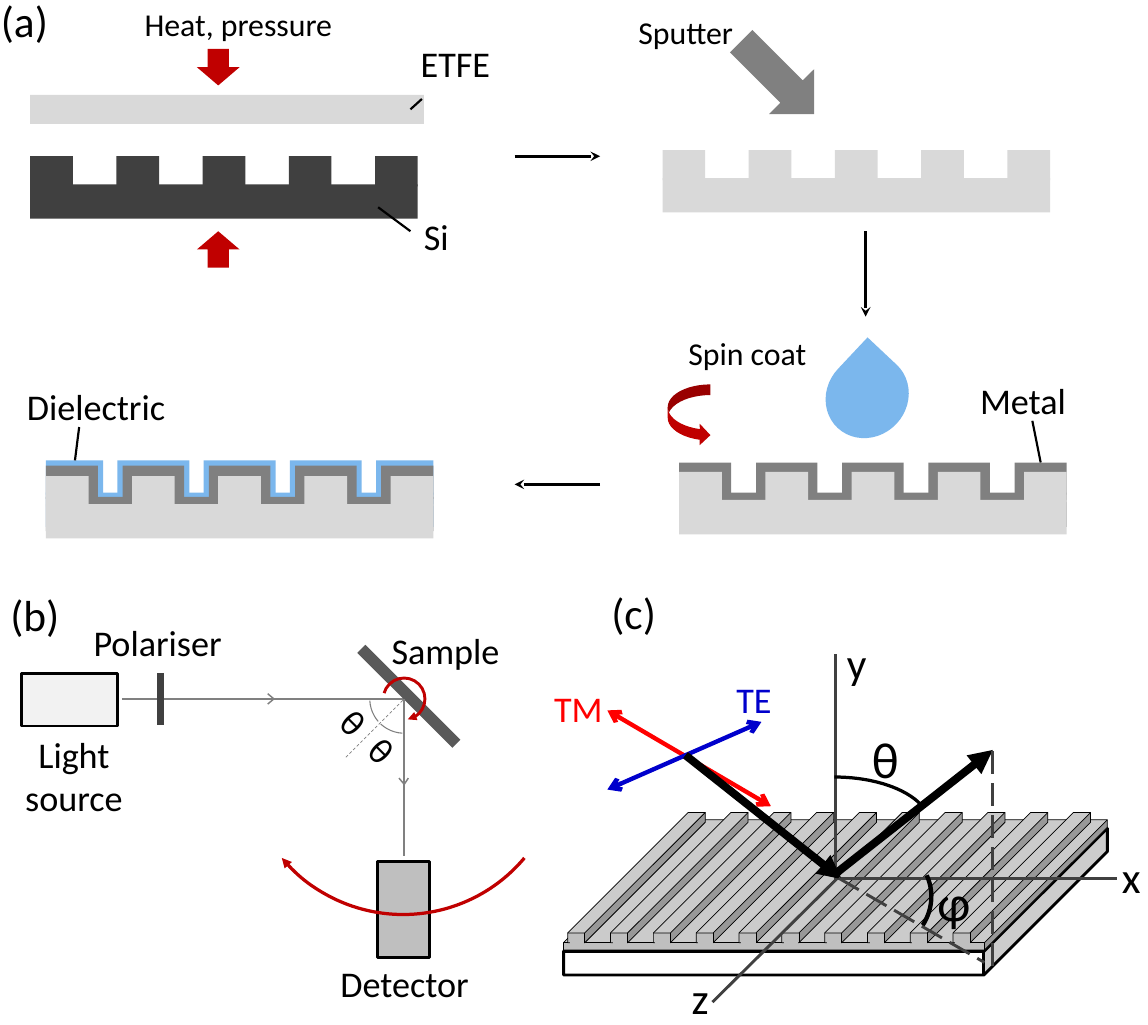
from lxml import etree
from pptx import Presentation
from pptx.dml.color import RGBColor
from pptx.enum import dml, shapes, text
from pptx.oxml import ns
from pptx.util import Inches, Pt

BLACK = RGBColor(0x00, 0x00, 0x00)
WHITE = RGBColor(0xFF, 0xFF, 0xFF)
SILICON = RGBColor(0x40, 0x40, 0x40)
POLYMER = RGBColor(0xD9, 0xD9, 0xD9)
METAL = RGBColor(0x80, 0x80, 0x80)
DIELECTRIC = RGBColor(0x7B, 0xB7, 0xED)
SAMPLE = RGBColor(0x59, 0x59, 0x59)
GRATING = RGBColor(0xBF, 0xBF, 0xBF)
SOURCE = RGBColor(0xF2, 0xF2, 0xF2)
DARK_RED = RGBColor(0xC0, 0x00, 0x00)
TM_RED = RGBColor(0xFF, 0x00, 0x00)
TE_BLUE = RGBColor(0x00, 0x00, 0xCC)

SHAPE = shapes.MSO_SHAPE
DASH = dml.MSO_LINE
TOOTH_COUNT, TOOTH_WIDTH, TOOTH_PITCH = 5, 0.41, 0.8275
COMB_WIDTH = TOOTH_PITCH * (TOOTH_COUNT - 1) + TOOTH_WIDTH
BASE_HEIGHT = 0.33


def stroke(item, color, width, dash=None, head=None, tail=None):
    """Format the line of a shape or connector; head and tail name arrowheads."""
    formats = {"width": Pt(width), "dash_style": dash}
    item.line.color.rgb = color
    for name, value in formats.items():
        setattr(item.line, name, value)
    outline = item._element.spPr.find(ns.qn("a:ln"))
    for tag, kind in (("a:headEnd", head), ("a:tailEnd", tail)):
        if kind:
            etree.SubElement(outline, ns.qn(tag), type=kind)


def add_block(slide, kind, box, fill, line=None, rotation=0, adjust=()):
    """Add a preset shape; line is a (colour, width) pair."""
    block = slide.shapes.add_shape(kind, *map(Inches, box))
    block.shadow.inherit = False
    block.rotation = rotation
    for index, value in enumerate(adjust):
        block.adjustments[index] = value
    if fill is None:
        block.fill.background()
    else:
        block.fill.solid()
        block.fill.fore_color.rgb = fill
    if line:
        stroke(block, *line)
    else:
        block.line.fill.background()
    return block


def add_line(slide, start, end, color, width, **ends):
    line = slide.shapes.add_connector(
        shapes.MSO_CONNECTOR.STRAIGHT, *map(Inches, (*start, *end)))
    stroke(line, color, width, **ends)
    etree.SubElement(line._element.spPr, ns.qn("a:effectLst"))


def add_arc(slide, box, start, end, color, width, rotation=0, tail=None):
    """Add an arc running clockwise between two angles in degrees."""
    arc = add_block(slide, SHAPE.ARC, box, None, rotation=rotation,
                    adjust=(start * 0.6, end * 0.6))
    stroke(arc, color, width, tail=tail)


def add_circle_arc(slide, center, radius, *args, **kwargs):
    x, y = center
    add_arc(slide, (x - radius, y - radius, 2 * radius, 2 * radius), *args, **kwargs)


def add_chevron(slide, points):
    """Add the open arrow mark on a light beam."""
    first, *others = [tuple(map(Inches, point)) for point in points]
    builder = slide.shapes.build_freeform(*first)
    builder.add_line_segments(others, close=False)
    chevron = builder.convert_to_shape()
    chevron.shadow.inherit = False
    chevron.fill.background()
    stroke(chevron, METAL, 1)


def add_label(slide, wording, box, size=25, color=BLACK, rotation=0,
              wrap=True, align=text.PP_ALIGN.LEFT):
    label = slide.shapes.add_textbox(*map(Inches, box))
    label.rotation = rotation
    frame = label.text_frame
    frame.word_wrap = wrap
    frame.auto_size = text.MSO_AUTO_SIZE.SHAPE_TO_FIT_TEXT
    paragraph = frame.paragraphs[0]
    paragraph.alignment = align
    run = paragraph.add_run()
    run.text = wording
    for name, value in {"name": "Calibri", "size": Pt(size)}.items():
        setattr(run.font, name, value)
    run.font.color.rgb = color


def add_comb(slide, left, top, color, depth=0.27, margin=0):
    """Add a toothed layer; margin widens the teeth inside the comb's ends."""
    right = left + COMB_WIDTH
    add_block(slide, SHAPE.RECTANGLE, (left, top + depth, COMB_WIDTH, BASE_HEIGHT), color)
    for index in range(TOOTH_COUNT):
        tooth = left + index * TOOTH_PITCH
        start = max(left, tooth - margin)
        end = min(right, tooth + TOOTH_WIDTH + margin)
        add_block(slide, SHAPE.RECTANGLE, (start, top, end - start, depth + 0.02), color)


def draw_fabrication(slide):
    add_comb(slide, 0.29, 1.5, SILICON)
    add_block(slide, SHAPE.RECTANGLE, (0.29, 0.91, 3.78, 0.28), POLYMER)
    add_comb(slide, 6.36, 1.44, POLYMER)
    add_comb(slide, 6.52, 4.44, METAL, 0.29, 0.09)
    add_comb(slide, 6.52, 4.53, POLYMER)
    add_comb(slide, 0.44, 4.42, DIELECTRIC, 0.31, 0.14)
    add_comb(slide, 0.44, 4.47, METAL, 0.3, 0.09)
    add_comb(slide, 0.44, 4.57, POLYMER)

    add_block(slide, SHAPE.DOWN_ARROW, (1.89, 0.47, 0.41, 0.35), DARK_RED)
    add_block(slide, SHAPE.UP_ARROW, (1.89, 2.22, 0.41, 0.35), DARK_RED)
    add_block(slide, SHAPE.DOWN_ARROW, (7.16, 0.25, 0.61, 0.99), METAL, rotation=315)
    add_block(slide, SHAPE.TEAR, (7.91, 3.42, 0.83, 0.77), DIELECTRIC, rotation=313.2)
    add_block(slide, SHAPE.CURVED_RIGHT_ARROW, (6.41, 3.69, 0.41, 0.59), DARK_RED)

    for start, end in (((4.94, 1.5), (5.76, 1.5)), ((8.31, 2.22), (8.31, 3.04)),
                       ((5.76, 4.65), (4.94, 4.65))):
        add_line(slide, start, end, BLACK, 2.25, tail="stealth")
    for start, end in (((3.94, 1.05), (4.05, 0.95)), ((3.63, 1.99), (3.94, 2.22)),
                       ((9.99, 4.44), (9.91, 4.04)), ((0.72, 4.42), (0.76, 4.1))):
        add_line(slide, start, end, BLACK, 1.5)

    for wording, box, size in (
            ("(a)", (-0.09, -0.11, 1.02, 0.61), 30),
            ("Heat, pressure", (1.29, 0, 3.45, 0.47), 22),
            ("ETFE", (3.94, 0.35, 1.25, 0.52), 25),
            ("Si", (3.97, 2.01, 0.95, 0.52), 25),
            ("Sputter", (6.03, 0.07, 2.43, 0.47), 22),
            ("Spin coat", (6.51, 3.15, 2.43, 0.47), 22),
            ("Metal", (9.31, 3.58, 1.18, 0.52), 25),
            ("Dielectric", (0.16, 3.64, 2.49, 0.52), 25)):
        add_label(slide, wording, box, size)


def draw_measurement(slide):
    hit = (3.88, 6.71)
    add_line(slide, (1.17, 6.71), hit, METAL, 1)
    add_block(slide, SHAPE.RECTANGLE, (0.21, 6.47, 0.92, 0.5), SOURCE, (BLACK, 2))
    add_line(slide, (1.54, 6.46), (1.54, 6.96), SILICON, 4.5)
    add_block(slide, SHAPE.RECTANGLE, (3.28, 6.63, 1.29, 0.11), SAMPLE, rotation=45)
    add_block(slide, SHAPE.RECTANGLE, (3.62, 8.27, 0.5, 0.92), GRATING, (BLACK, 2))
    add_line(slide, hit, (3.88, 8.22), METAL, 1)
    add_line(slide, (3.32, 7.27), hit, METAL, 0.5, dash=DASH.DASH)
    add_circle_arc(slide, hit, 0.2, 196, 80, DARK_RED, 2, tail="triangle")
    add_circle_arc(slide, (3.87, 7.26), 1.52, 40, 140, DARK_RED, 2.25, tail="triangle")
    add_chevron(slide, ((3.83, 7.47), (3.88, 7.53), (3.92, 7.47)))
    add_chevron(slide, ((2.57, 6.76), (2.63, 6.71), (2.57, 6.66)))
    for start, end in ((93, 133), (139, 177)):
        add_circle_arc(slide, hit, 0.33, start, end, METAL, 0.75)

    add_label(slide, "(b)", (0, 5.6, 0.68, 0.61), 30)
    add_label(slide, "Light source", (0.08, 6.98, 1.26, 0.94), align=text.PP_ALIGN.CENTER)
    for wording, left, top in (("Polariser", 0.8, 5.91), ("Sample", 3.66, 5.98),
                               ("Detector", 3.17, 9.18)):
        add_label(slide, wording, (left, top, 1.49, 0.52))
    for left, top in ((3.19, 6.72), (3.46, 6.98)):
        add_label(slide, "θ", (left, top, 0.5, 0.52), rotation=45)


def draw_geometry(slide):
    add_block(slide, SHAPE.CUBE, (5.41, 7.95, 5.22, 1.41), WHITE, (BLACK, 2), adjust=[0.84])
    add_block(slide, SHAPE.CUBE, (5.41, 7.87, 5.22, 1.25), GRATING, (BLACK, 0.5),
              adjust=[0.943])
    for index in range(10):
        ridge = 5.45 + index * 0.411
        add_block(slide, SHAPE.CUBE, (ridge, 7.8, 1.32, 1.25), GRATING, (BLACK, 0.5),
                  adjust=[0.925])
        add_line(slide, (ridge + 0.02, 9.05), (ridge + 0.16, 9.05), GRATING, 1.5)

    for start, end in (((8.02, 6.28), (8.02, 8.44)), ((10.72, 8.43), (8.03, 8.43)),
                       ((8.04, 8.43), (6.84, 9.62))):
        add_line(slide, start, end, SILICON, 2)
    add_line(slide, (5.83, 6.82), (7.4, 7.74), TM_RED, 3, head="arrow", tail="arrow")
    add_line(slide, (5.83, 7.58), (7.31, 6.93), TE_BLUE, 3, head="arrow", tail="arrow")
    for start, end in (((6.58, 7.25), (8.08, 8.44)), ((8.03, 8.38), (9.53, 7.2))):
        add_line(slide, start, end, BLACK, 5.5, tail="triangle")
    for start, end in (((9.53, 7.21), (9.53, 9.36)), ((8.05, 8.43), (9.45, 9.24))):
        add_line(slide, start, end, SILICON, 2, dash=DASH.LONG_DASH)
    add_arc(slide, (7.09, 7.46, 1.84, 0.93), 270, 346.26, BLACK, 2.25)
    add_arc(slide, (7.92, 8.1, 1, 1.05), 270, 325.43, BLACK, 3, rotation=65)

    add_label(slide, "(c)", (5.77, 5.58, 0.68, 0.61), 30)
    add_label(slide, "TM", (5.22, 6.54, 1.07, 0.52), color=TM_RED)
    add_label(slide, "TE", (6.97, 6.45, 0.82, 0.52), color=TE_BLUE)
    for angle, left, top in (("φ", 8.9, 8.31), ("θ", 8.27, 6.94)):
        add_label(slide, angle, (left, top, 0.45, 0.69), 35)
    for axis, left, top in (("x", 10.67, 8.11), ("y", 8.03, 6.06), ("z", 6.54, 9.27)):
        add_label(slide, axis, (left, top, 0.38, 0.61), 30, wrap=False)


def main():
    deck = Presentation()
    deck.slide_width, deck.slide_height = Inches(11.02), Inches(9.84)
    slide = deck.slides.add_slide(deck.slide_layouts[6])
    draw_fabrication(slide)
    draw_measurement(slide)
    draw_geometry(slide)
    deck.save("out.pptx")


if __name__ == "__main__":
    main()
